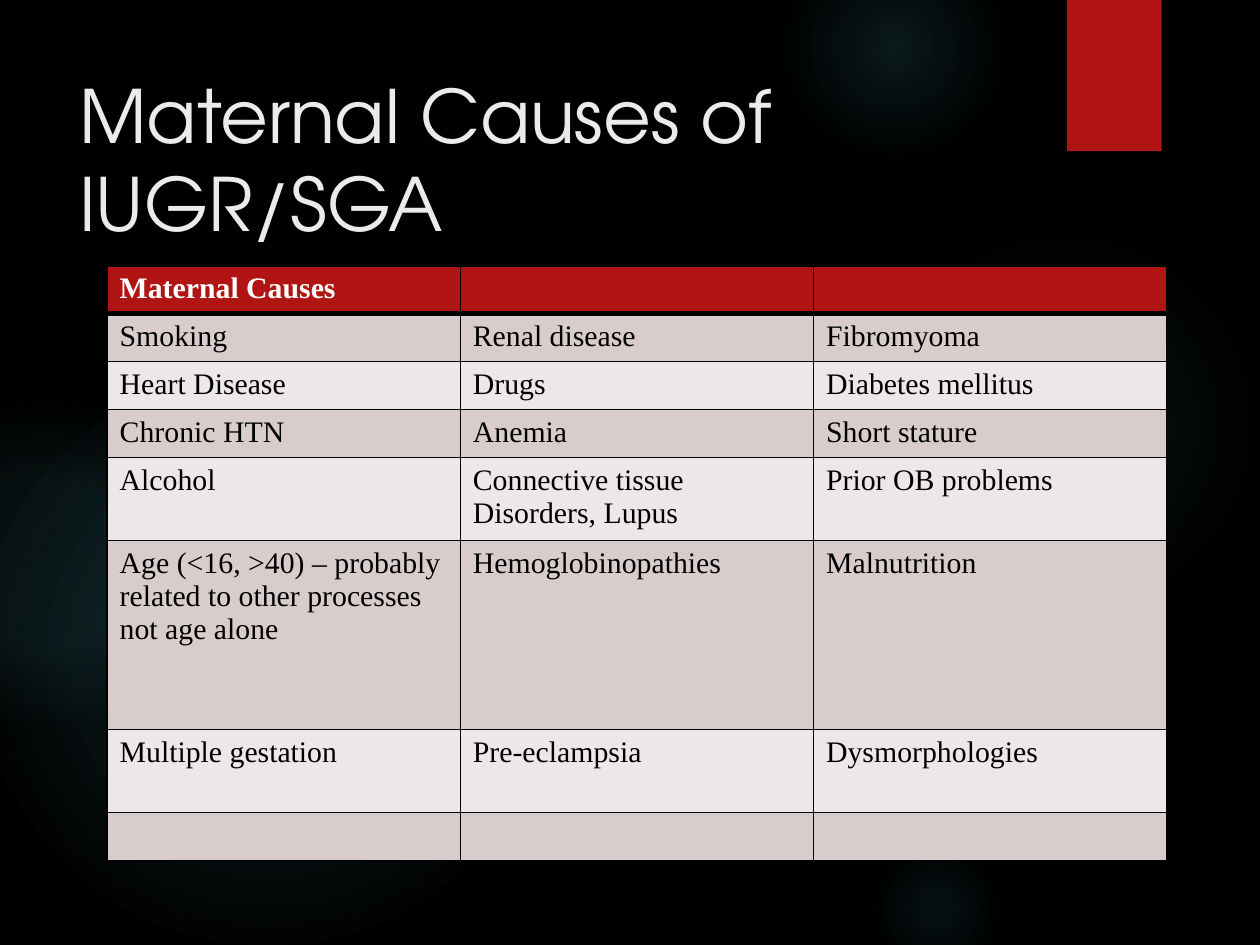
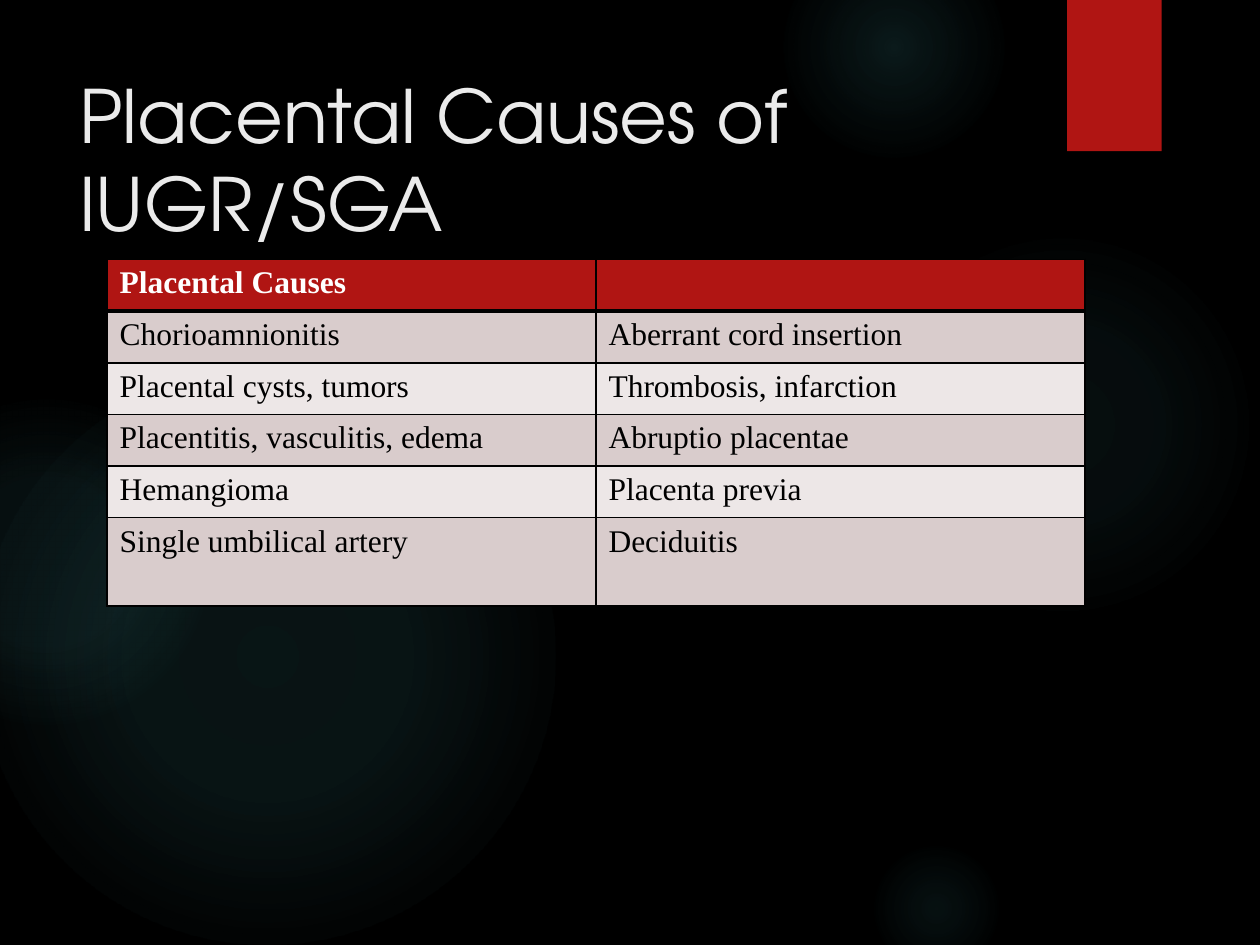
import pptx
import pptx.dml.color
import pptx.enum.shapes
import pptx.enum.text
import pptx.oxml
import pptx.oxml.ns
import pptx.util
from dataclasses import dataclass
from lxml import etree

Inches = pptx.util.Inches
Pt = pptx.util.Pt
qn = pptx.oxml.ns.qn
RGB = pptx.dml.color.RGBColor.from_string


@dataclass(frozen=True)
class Theme:
    background: str = "000000"
    accent: str = "B01513"
    glow: str = "50B9C1"
    title_color: str = "EBEBEB"
    header_text: str = "FFFFFF"
    body_text: str = "000000"
    border: str = "000000"
    bands: tuple = ("EDE7E7", "D9CCCC")
    title_font: str = "TeX Gyre Adventor"
    table_font: str = "Times New Roman"
    title_size: int = 42
    thin_border: int = 1
    header_border: int = 3


THEME = Theme()

SLIDES = [
    {
        "title": "Maternal Causes of IUGR/SGA",
        "top": 2.11,
        "width": 8.41,
        "text_size": 17,
        "heights": [0.38, 0.38, 0.38, 0.38, 0.66, 1.5, 0.66, 0.38],
        "rows": [
            ("Maternal Causes", "", ""),
            ("Smoking", "Renal disease", "Fibromyoma"),
            ("Heart Disease", "Drugs", "Diabetes mellitus"),
            ("Chronic HTN", "Anemia", "Short stature"),
            ("Alcohol", "Connective tissue Disorders, Lupus", "Prior OB problems"),
            ("Age (<16, >40) – probably related to other processes not age alone",
             "Hemoglobinopathies", "Malnutrition"),
            ("Multiple gestation", "Pre-eclampsia", "Dysmorphologies"),
            ("", "", ""),
        ],
    },
    {
        "title": "Placental Causes of IUGR/SGA",
        "top": 2.06,
        "width": 7.76,
        "text_size": 18,
        "heights": [0.41, 0.41, 0.41, 0.41, 0.41, 0.7],
        "rows": [
            ("Placental Causes", ""),
            ("Chorioamnionitis", "Aberrant cord insertion"),
            ("Placental cysts, tumors", "Thrombosis, infarction"),
            ("Placentitis, vasculitis, edema", "Abruptio placentae"),
            ("Hemangioma", "Placenta previa"),
            ("Single umbilical artery", "Deciduitis"),
        ],
    },
]

TABLE_LEFT = 0.85
TITLE_BOX = {"left": 0.53, "top": 0.49, "width": 7.72, "height": 1.53}
RIBBON_BOX = (8.47, 0, 0.75, 1.2)

GLOWS = [
    (6.89, 1.83, 3.08, ((0, 7), (36, 6), (69, 0))),
    (6.22, -0.5, 1.75, ((0, 14), (36, 7), (73, 0))),
    (6.89, 6.67, 1.08, ((0, 9), (36, 5), (66, 0))),
    (-0.17, 2.92, 4.58, ((0, 11), (36, 10), (75, 0))),
    (-0.92, 3.17, 2.58, ((0, 8), (36, 8), (72, 0))),
]


def set_attributes(target, values):
    for name, value in values.items():
        setattr(target, name, value)


def format_font(font, name, size, color, bold=False):
    set_attributes(font, {"name": name, "size": Pt(size), "bold": bold})
    font.color.rgb = RGB(color)


def add_plain_shape(slide, kind, box):
    shape = slide.shapes.add_shape(kind, *map(Inches, box))
    shape.shadow.inherit = False
    shape.line.fill.background()
    return shape


def add_glow(slide, left, top, diameter, stops):
    shape = add_plain_shape(slide, pptx.enum.shapes.MSO_SHAPE.OVAL,
                            (left, top, diameter, diameter))
    shape.fill.background()
    stop_xml = "".join(
        f'<a:gs pos="{position * 1000}"><a:srgbClr val="{THEME.glow}">'
        f'<a:alpha val="{opacity * 1000}"/></a:srgbClr></a:gs>'
        for position, opacity in stops
    )
    gradient = pptx.oxml.parse_xml(
        f'<a:gradFill {pptx.oxml.ns.nsdecls("a")} rotWithShape="1">'
        f'<a:gsLst>{stop_xml}</a:gsLst><a:path path="circle">'
        '<a:fillToRect l="50000" t="50000" r="50000" b="50000"/></a:path></a:gradFill>'
    )
    properties = shape.element.spPr
    properties.replace(properties.find(qn("a:noFill")), gradient)


def add_backdrop(slide):
    for glow in GLOWS:
        add_glow(slide, *glow)
    ribbon = add_plain_shape(slide, pptx.enum.shapes.MSO_SHAPE.RECTANGLE, RIBBON_BOX)
    ribbon.fill.solid()
    ribbon.fill.fore_color.rgb = RGB(THEME.accent)


def add_title(slide, text):
    title = slide.shapes.title
    set_attributes(title, {name: Inches(value) for name, value in TITLE_BOX.items()})
    set_attributes(title.text_frame, {
        "text": text,
        "word_wrap": True,
        "auto_size": pptx.enum.text.MSO_AUTO_SIZE.NONE,
        "vertical_anchor": pptx.enum.text.MSO_ANCHOR.MIDDLE,
    })
    paragraph = title.text_frame.paragraphs[0]
    paragraph.alignment = pptx.enum.text.PP_ALIGN.LEFT
    format_font(paragraph.runs[0].font, THEME.title_font, THEME.title_size, THEME.title_color)


def set_borders(cell, row_index):
    widths = dict.fromkeys(("lnL", "lnR", "lnT", "lnB"), THEME.thin_border)
    if row_index < 2:
        widths["lnB" if row_index == 0 else "lnT"] = THEME.header_border
    properties = cell._tc.get_or_add_tcPr()
    for position, (tag, width) in enumerate(widths.items()):
        line = etree.Element(qn(f"a:{tag}"), w=str(Pt(width)))
        fill = etree.SubElement(line, qn("a:solidFill"))
        etree.SubElement(fill, qn("a:srgbClr"), val=THEME.border)
        properties.insert(position, line)


def fill_cell(cell, text, row_index, text_size):
    header = row_index == 0
    cell.fill.solid()
    cell.fill.fore_color.rgb = RGB(THEME.accent if header else THEME.bands[row_index % 2])
    set_borders(cell, row_index)
    paragraph = cell.text_frame.paragraphs[0]
    if text:
        run = paragraph.add_run()
        run.text = text
        color = THEME.header_text if header else THEME.body_text
        format_font(run.font, THEME.table_font, text_size, color, header)
    else:
        ending = etree.SubElement(paragraph._p, qn("a:endParaRPr"), sz=str(text_size * 100))
        etree.SubElement(ending, qn("a:latin"), typeface=THEME.table_font)


def add_causes_table(slide, content):
    rows, heights = content["rows"], content["heights"]
    column_count = len(rows[0])
    frame = slide.shapes.add_table(
        len(rows), column_count, Inches(TABLE_LEFT), Inches(content["top"]),
        Inches(content["width"]), Inches(sum(heights)))
    table = frame.table
    for column in table.columns:
        column.width = Inches(content["width"] / column_count)
    for row_index, (texts, height) in enumerate(zip(rows, heights)):
        table.rows[row_index].height = Inches(height)
        for column_index, text in enumerate(texts):
            fill_cell(table.cell(row_index, column_index), text, row_index,
                      content["text_size"])


def main():
    presentation = pptx.Presentation()
    set_attributes(presentation, {"slide_width": Inches(10), "slide_height": Inches(7.5)})
    background = presentation.slide_master.background.fill
    background.solid()
    background.fore_color.rgb = RGB(THEME.background)
    title_only = presentation.slide_layouts.get_by_name("Title Only")
    for content in SLIDES:
        slide = presentation.slides.add_slide(title_only)
        add_backdrop(slide)
        add_title(slide, content["title"])
        add_causes_table(slide, content)
    presentation.save("out.pptx")


if __name__ == "__main__":
    main()
